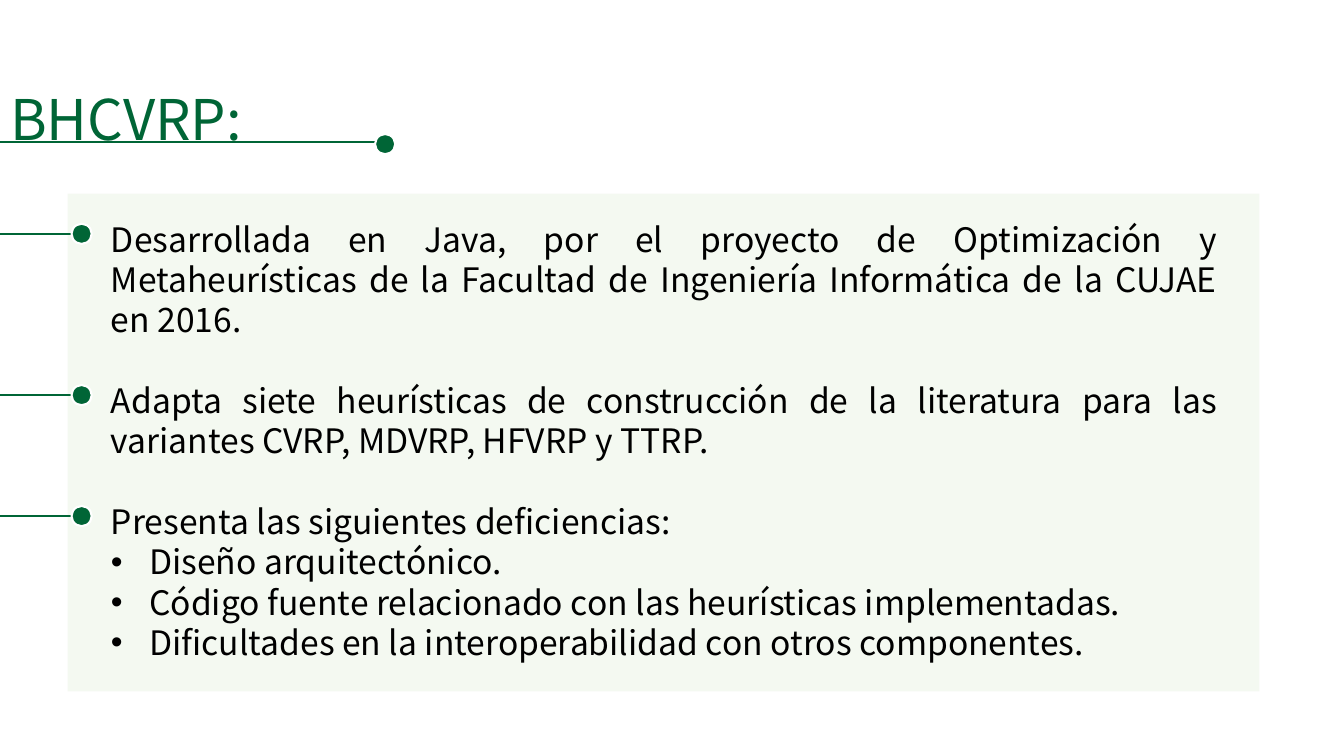
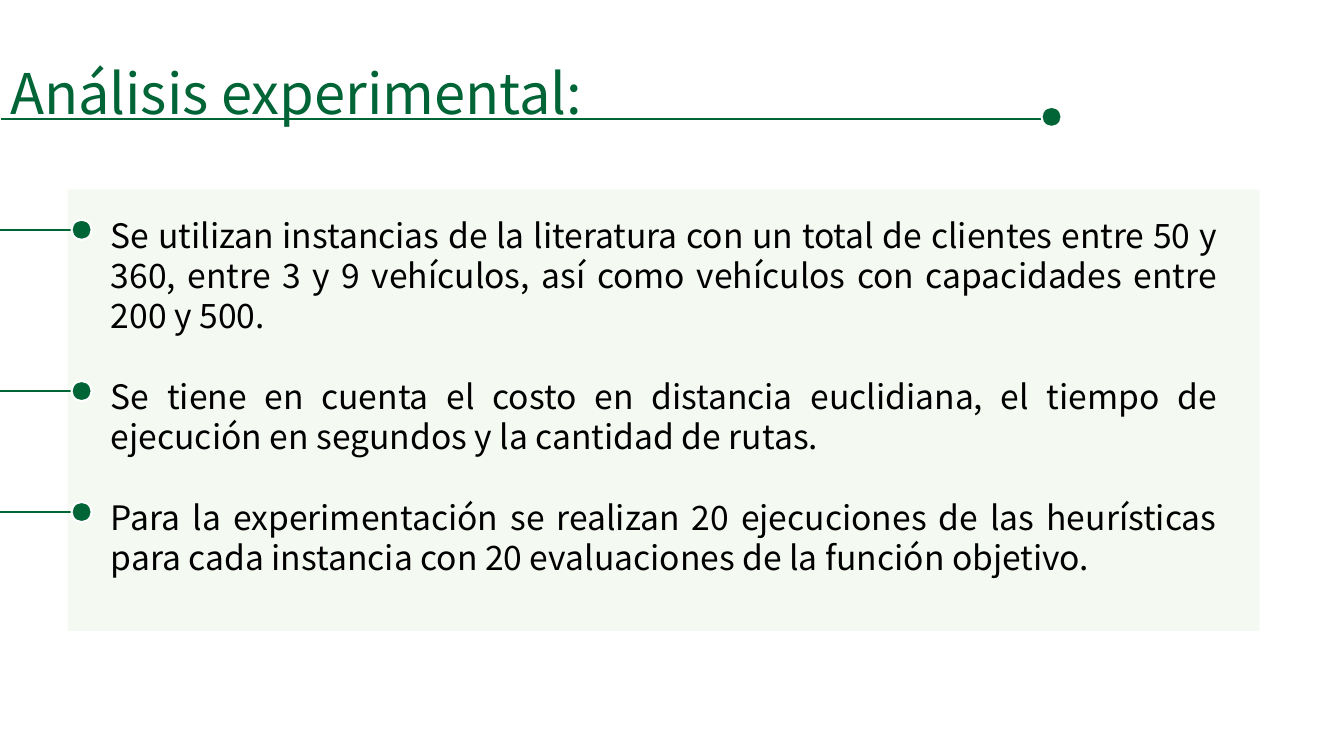
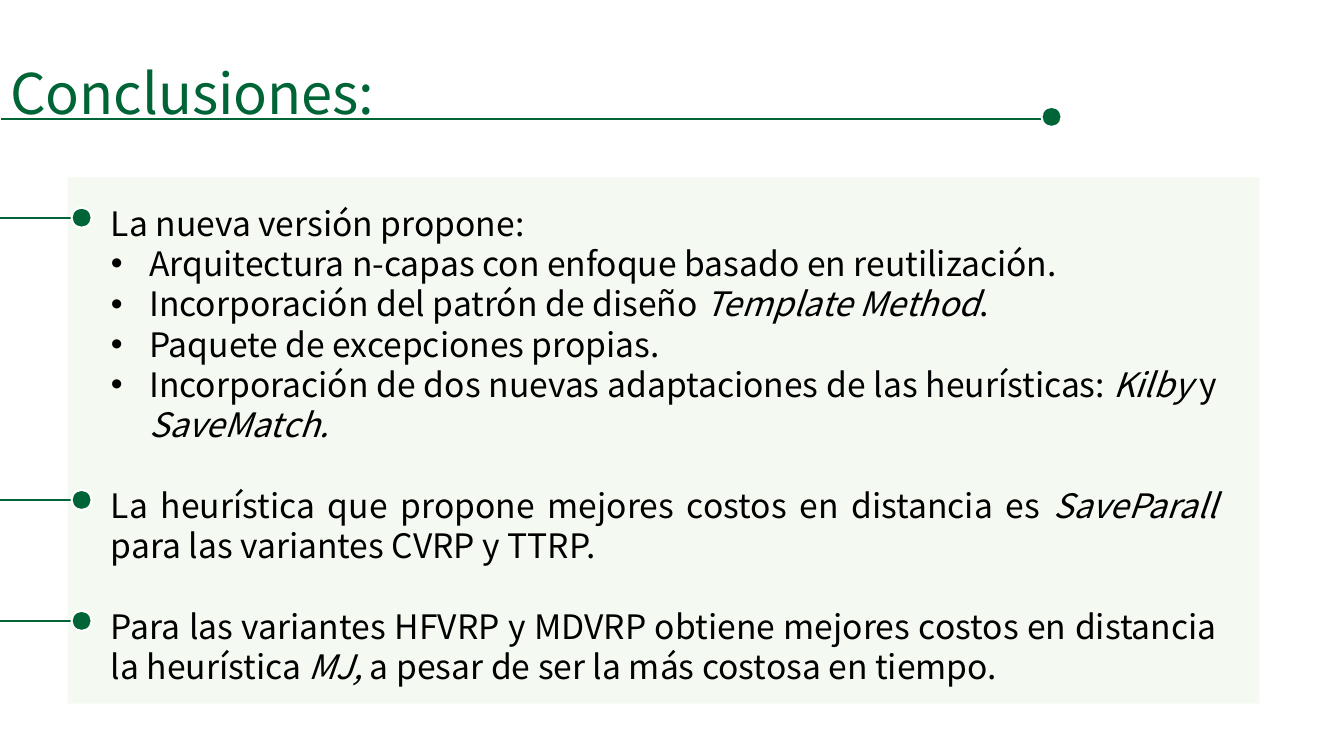
from lxml.etree import SubElement
from pptx import Presentation
from pptx.dml.color import RGBColor
from pptx.enum.shapes import MSO_CONNECTOR, MSO_SHAPE
from pptx.enum.text import MSO_ANCHOR, MSO_AUTO_SIZE, PP_ALIGN
from pptx.oxml.ns import qn
from pptx.util import Emu, Pt

SCALE = 9144
FONT = "Noto Sans CJK JP"
GREEN, PALE_GREEN, BLACK, WHITE = "006536", "A9D18E", "000000", "FFFFFF"
LINE_PITCH, FIRST_LINE, DOT = 40, 24, 20

SLIDES = [
    {
        "title": "BHCVRP:", "title_top": 75, "title_width": 265,
        "rule": (0, 380, 141, 143),
        "text_top": 208, "text_height": 454, "panel_height": 494,
        "marked_lines": (0, 4, 7),
        "items": [
            (0, "Desarrollada en Java, por el proyecto de Optimización y Metaheurísticas "
                "de la Facultad de Ingeniería Informática de la CUJAE en 2016."),
            (0, "Adapta siete heurísticas de construcción de la literatura para las "
                "variantes CVRP, MDVRP, HFVRP y TTRP."),
            (0, "Presenta las siguientes deficiencias:"),
            (1, "Diseño arquitectónico."),
            (1, "Código fuente relacionado con las heurísticas implementadas."),
            (1, "Dificultades en la interoperabilidad con otros componentes."),
        ],
    },
    {
        "title": "Análisis experimental:", "title_top": 49, "title_width": 590,
        "rule": (1, 1041, 118, 116),
        "text_top": 204, "text_height": 374, "panel_height": 438,
        "marked_lines": (0, 4, 7),
        "items": [
            (0, "Se utilizan instancias de la literatura con un total de clientes entre "
                "50 y 360, entre 3 y 9 vehículos, así como vehículos con capacidades "
                "entre 200 y 500."),
            (0, "Se tiene en cuenta el costo en distancia euclidiana, el tiempo de "
                "ejecución en segundos y la cantidad de rutas."),
            (0, "Para la experimentación se realizan 20 ejecuciones de las heurísticas "
                "para cada instancia con 20 evaluaciones de la función objetivo."),
        ],
    },
    {
        "title": "Conclusiones:", "title_top": 49, "title_width": 382,
        "rule": (1, 1041, 118, 116),
        "text_top": 192, "text_height": 495, "panel_height": 522,
        "marked_lines": (0, 7, 10),
        "items": [
            (0, "La nueva versión propone:"),
            (1, "Arquitectura n-capas con enfoque basado en reutilización."),
            (1, "Incorporación del patrón de diseño *Template Method*."),
            (1, "Paquete de excepciones propias."),
            (1, "Incorporación de dos nuevas adaptaciones de las heurísticas: "
                "*Kilby* y *SaveMatch.*"),
            (0, "La heurística que propone mejores costos en distancia es *SaveParall* "
                "para las variantes CVRP y TTRP."),
            (0, "Para las variantes HFVRP y MDVRP obtiene mejores costos en distancia "
                "la heurística *MJ, *a pesar de ser la más costosa en tiempo."),
        ],
    },
]


def px(length):
    return Emu(length * SCALE)


def color(value):
    return RGBColor.from_string(value)


def apply(target, values):
    for name, value in values.items():
        setattr(target, name, value)


def place(placeholder, left, top, width, height, wrap):
    apply(placeholder, {"left": px(left), "top": px(top),
                        "width": px(width), "height": px(height)})
    frame = placeholder.text_frame
    apply(frame, {"word_wrap": wrap, "auto_size": MSO_AUTO_SIZE.NONE,
                  "vertical_anchor": MSO_ANCHOR.TOP,
                  "margin_left": px(10), "margin_right": px(10),
                  "margin_top": px(9), "margin_bottom": px(0)})
    return frame


def write(paragraph, text, size, ink, alignment, gap=0):
    apply(paragraph, {"alignment": alignment, "line_spacing": Pt(size * 1.2),
                      "space_before": Pt(gap), "space_after": Pt(0)})
    for position, part in enumerate(text.split("*")):
        if part:
            run = paragraph.add_run()
            run.text = part
            apply(run.font, {"name": FONT, "size": Pt(size), "italic": position % 2 == 1})
            run.font.color.rgb = color(ink)


def set_bullet(paragraph, level):
    properties = paragraph._p.get_or_add_pPr()
    indent = 38 * SCALE * level
    properties.set("marL", str(indent))
    properties.set("indent", str(-indent))
    if level:
        SubElement(properties, qn("a:buFont"), typeface="Arial")
        SubElement(properties, qn("a:buChar"), char="•")
    else:
        SubElement(properties, qn("a:buNone"))


def add_title(slide, text, top, width):
    frame = place(slide.shapes.title, 0, top, width, 77, False)
    write(frame.paragraphs[0], text, 40, GREEN, PP_ALIGN.LEFT)


def add_items(slide, items, top, height):
    frame = place(slide.placeholders[1], 100, top, 1117, height, True)
    for index, (level, text) in enumerate(items):
        paragraph = frame.add_paragraph() if index else frame.paragraphs[0]
        set_bullet(paragraph, level)
        gap = 28.8 if index and level == 0 else 0
        write(paragraph, text, 24, BLACK, PP_ALIGN.JUSTIFY, gap)


def add_filled(slide, kind, left, top, width, height, fill):
    shape = slide.shapes.add_shape(kind, px(left), px(top), px(width), px(height))
    shape.shadow.inherit = False
    shape.fill.solid()
    shape.fill.fore_color.rgb = color(fill)
    return shape


def add_panel(slide, top, height):
    panel = add_filled(slide, MSO_SHAPE.RECTANGLE, 67, top, 1182, height, PALE_GREEN)
    panel.line.fill.background()
    tint = panel._element.spPr.find(qn("a:solidFill")).find(qn("a:srgbClr"))
    SubElement(tint, qn("a:alpha"), val="12000")
    slide.shapes._spTree.insert(2, panel._element)


def add_marker(slide, start, end, line_y, dot_y):
    stem = slide.shapes.add_connector(
        MSO_CONNECTOR.STRAIGHT, px(start), px(line_y), px(end), px(line_y))
    SubElement(stem._element.spPr, qn("a:effectLst"))
    dot = add_filled(slide, MSO_SHAPE.OVAL, end - 8, dot_y - DOT // 2, DOT, DOT, GREEN)
    for outline, ink in ((stem.line, GREEN), (dot.line, WHITE)):
        outline.color.rgb = color(ink)
        outline.width = Pt(1.5)


def add_slide(presentation, content):
    slide = presentation.slides.add_slide(presentation.slide_layouts[1])
    text_top = content["text_top"]
    add_panel(slide, text_top - 16, content["panel_height"])
    add_title(slide, content["title"], content["title_top"], content["title_width"])
    add_marker(slide, *content["rule"])
    add_items(slide, content["items"], text_top, content["text_height"])
    for line in content["marked_lines"]:
        y = text_top + FIRST_LINE + line * LINE_PITCH
        add_marker(slide, 0, 79, y, y)


def main():
    presentation = Presentation()
    apply(presentation, {"slide_width": px(1333), "slide_height": px(750)})
    for content in SLIDES:
        add_slide(presentation, content)
    presentation.save("out.pptx")


if __name__ == "__main__":
    main()
